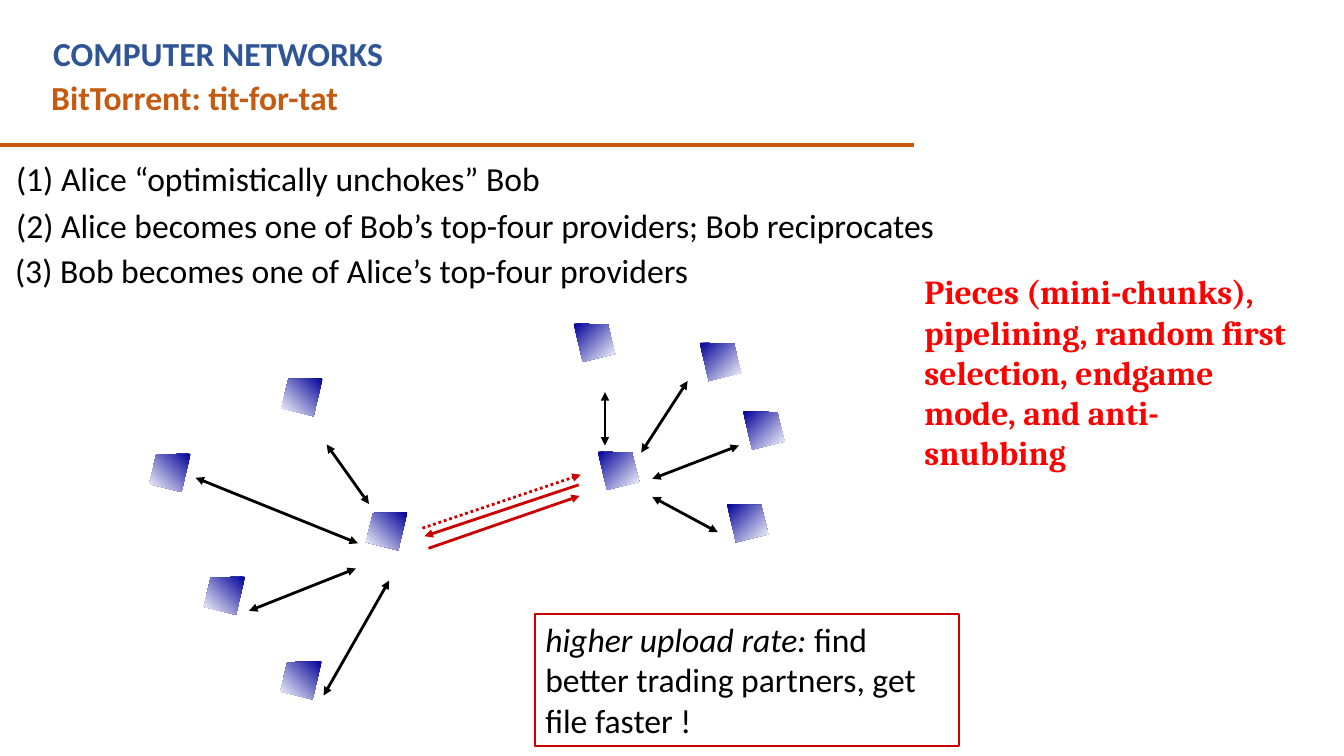
import pptx
import pptx.dml.color
import pptx.enum.dml
import pptx.enum.shapes
import pptx.enum.text
import pptx.oxml.ns
import pptx.util
import lxml.etree

PX = 9144
BLACK = pptx.dml.color.RGBColor(0x00, 0x00, 0x00)
WHITE = pptx.dml.color.RGBColor(0xFF, 0xFF, 0xFF)
BLUE = pptx.dml.color.RGBColor(0x2F, 0x55, 0x97)
ORANGE = pptx.dml.color.RGBColor(0xC5, 0x5A, 0x11)
RED = pptx.dml.color.RGBColor(0xFF, 0x00, 0x00)
DARK_RED = pptx.dml.color.RGBColor(0xCC, 0x00, 0x00)
NAVY = pptx.dml.color.RGBColor(0x00, 0x00, 0x99)

PEER_WIDTH = 41
PEER_OUTLINE = [(0, 0), (34, 1), (41, 30), (9, 38)]
ALICE_PEERS = [(202, 572), (278, 656), (148, 450), (363, 508), (279, 375)]
BOB_PEERS = [(721, 500), (737, 408), (694, 340), (593, 448), (569, 321)]

EXCHANGES = [
    ((355, 539), (194, 474)),
    ((353, 564), (247, 606)),
    ((386, 576), (321, 690)),
    ((636, 449), (682, 378)),
    ((647, 475), (733, 442)),
    ((647, 493), (712, 528)),
    ((600, 389), (600, 442)),
    ((324, 441), (366, 500)),
]

STEPS = [
    (16, 157, 524, "(1) Alice “optimistically unchokes” Bob"),
    (16, 203, 929, "(2) Alice becomes one of Bob’s top-four providers; Bob reciprocates"),
    (15, 248, 684, "(3) Bob becomes one of Alice’s top-four providers"),
]


def px(value):
    return pptx.util.Emu(value * PX)


def add_text(slide, text, *, left, top, width, height, color=BLACK, font="Calibri",
             bold=False, italic_lead="", wrap=True, inset=True, border=None):
    shape = slide.shapes.add_textbox(px(left), px(top), px(width), px(height))
    frame = shape.text_frame
    frame.word_wrap = wrap
    frame.auto_size = pptx.enum.text.MSO_AUTO_SIZE.SHAPE_TO_FIT_TEXT
    if not inset:
        frame.margin_left = frame.margin_right = 0
        frame.margin_top = frame.margin_bottom = 0
    if border is not None:
        shape.line.color.rgb = border
        shape.line.width = pptx.util.Pt(1.5)
    paragraph = frame.paragraphs[0]
    for content, italic in ((italic_lead, True), (text, False)):
        if content:
            run = paragraph.add_run()
            run.text = content
            run.font.name = font
            run.font.size = pptx.util.Pt(24)
            run.font.bold = bold
            run.font.italic = italic
            run.font.color.rgb = color


def add_line(slide, start, end, color, width=2, dotted=False, arrowheads=()):
    connector = slide.shapes.add_connector(
        pptx.enum.shapes.MSO_CONNECTOR.STRAIGHT,
        px(start[0]), px(start[1]), px(end[0]), px(end[1]))
    connector.line.color.rgb = color
    connector.line.width = pptx.util.Pt(width)
    if dotted:
        connector.line.dash_style = pptx.enum.dml.MSO_LINE.ROUND_DOT
    properties = connector._element.spPr
    outline = properties.find(pptx.oxml.ns.qn("a:ln"))
    for arrowhead in arrowheads:
        element = lxml.etree.SubElement(outline, pptx.oxml.ns.qn(f"a:{arrowhead}"))
        element.set("type", "triangle")
    lxml.etree.SubElement(properties, pptx.oxml.ns.qn("a:effectLst"))


def add_peer(slide, left, top, mirrored):
    points = [(left + (PEER_WIDTH - x if mirrored else x), top + y)
              for x, y in PEER_OUTLINE]
    builder = slide.shapes.build_freeform(*points[0], scale=PX)
    builder.add_line_segments(points[1:], close=True)
    shape = builder.convert_to_shape()
    shape.shadow.inherit = False
    shape.line.fill.background()
    shape.fill.gradient()
    shape.fill.gradient_angle = 225 if mirrored else 315
    for stop, position, color in zip(shape.fill.gradient_stops, (0, 1), (NAVY, WHITE)):
        stop.position = position
        stop.color.rgb = color


def main():
    presentation = pptx.Presentation()
    presentation.slide_width = px(1333)
    presentation.slide_height = px(750)
    slide = presentation.slides.add_slide(presentation.slide_layouts[6])

    add_line(slide, (-1, 144), (907, 144), ORANGE, width=3)
    add_text(slide, "COMPUTER NETWORKS", left=43, top=28, width=820, height=50,
             color=BLUE, bold=True)
    add_text(slide, "BitTorrent: tit-for-tat", left=41, top=71, width=875, height=50,
             color=ORANGE, bold=True)

    for start, end in EXCHANGES:
        add_line(slide, start, end, BLACK, arrowheads=("headEnd", "tailEnd"))
    add_line(slide, (419, 524), (576, 471), DARK_RED, dotted=True, arrowheads=("tailEnd",))
    add_line(slide, (574, 481), (421, 532), DARK_RED, arrowheads=("tailEnd",))
    add_line(slide, (425, 544), (575, 492), DARK_RED, arrowheads=("tailEnd",))

    for left, top, width, step in STEPS:
        add_text(slide, step, left=left, top=top, width=width, height=40,
                 wrap=False, inset=False)
    add_text(slide, " find better trading partners, get file faster !",
             italic_lead="higher upload rate:", left=531, top=609, width=420, height=131,
             border=DARK_RED)

    for peers, mirrored in ((ALICE_PEERS, True), (BOB_PEERS, False)):
        for left, top in peers:
            add_peer(slide, left, top, mirrored)

    add_text(slide, "Pieces (mini-chunks), pipelining, random first selection, "
             "endgame mode, and anti-snubbing", left=907, top=264, width=384, height=172,
             color=RED, font="Cambria", bold=True)

    presentation.save("out.pptx")


if __name__ == "__main__":
    main()
